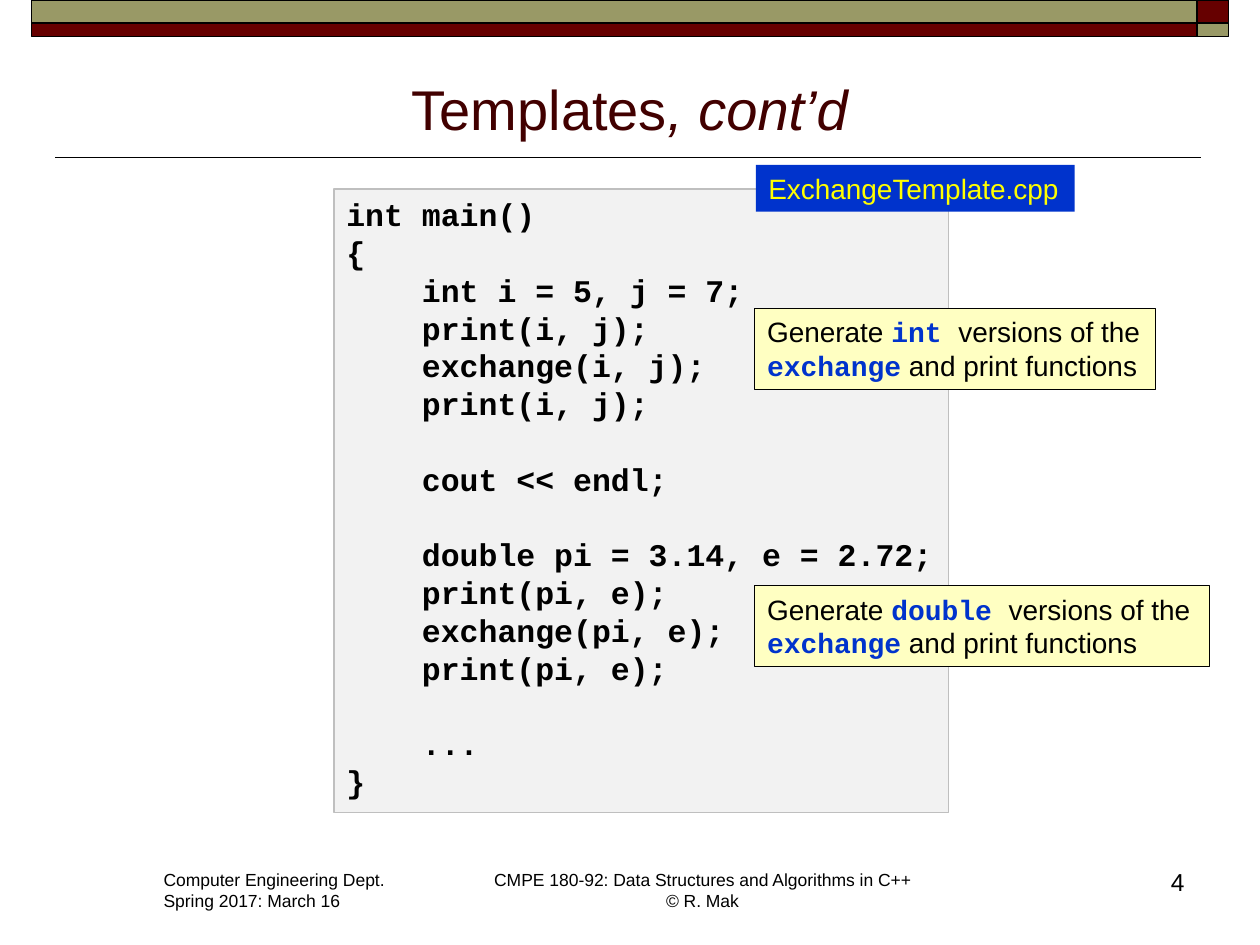
from dataclasses import dataclass
from typing import Optional

from lxml import etree
from pptx import Presentation
from pptx import util as u
from pptx.dml import color
from pptx.enum import shapes, text
from pptx.oxml import ns

WIDTH, HEIGHT = 10, 7.5
MAROON, OLIVE, BLUE, BLACK = "660000", "999966", "0033CC", "000000"
CREAM, YELLOW, GREY, SILVER = "FFFFC2", "FFFF00", "F2F2F2", "BFBFBF"
CODE_SIZE = 18
CODE_LINE = 1.2 * CODE_SIZE
CODE_INDENT = 4 * 0.6 * CODE_SIZE
LEFT, CENTER, RIGHT = text.PP_ALIGN.LEFT, text.PP_ALIGN.CENTER, text.PP_ALIGN.RIGHT
TOP, BOTTOM = text.MSO_ANCHOR.TOP, text.MSO_ANCHOR.BOTTOM


@dataclass
class Span:
    """Text in one style; a line feed is a break within the paragraph."""
    words: str
    size: float = 16
    hue: str = BLACK
    name: str = "Arial"
    bold: bool = False
    italic: bool = False


@dataclass
class Line:
    """One paragraph with its indent and the gap above it, in points."""
    spans: list[Span]
    indent: float = 0
    gap: float = 0


@dataclass
class Box:
    """A rectangle in inches, with optional fill, outline and text."""
    left: float
    top: float
    width: float
    height: float
    fill: Optional[str] = None
    outline: Optional[str] = None
    weight: float = 0.75
    lines: tuple[Line, ...] = ()
    align: text.PP_ALIGN = LEFT
    anchor: text.MSO_ANCHOR = TOP
    grow: bool = True


def rgb(value: str) -> color.RGBColor:
    """Turn a hex string into a colour."""
    return color.RGBColor.from_string(value)


def write_span(para, span: Span) -> None:
    """Add the text of a span to a paragraph."""
    style = {"size": u.Pt(span.size), "name": span.name,
             "bold": span.bold, "italic": span.italic}
    for number, part in enumerate(span.words.split("\n")):
        if number:
            para.add_line_break()
        run = para.add_run()
        run.text = part
        run.font.color.rgb = rgb(span.hue)
        for key, value in style.items():
            setattr(run.font, key, value)


def write_lines(frame, box: Box) -> None:
    """Fill a text frame with the lines of a box."""
    fit = text.MSO_AUTO_SIZE
    layout = {"word_wrap": not box.grow, "vertical_anchor": box.anchor,
              "auto_size": fit.SHAPE_TO_FIT_TEXT if box.grow else fit.NONE}
    for key, value in layout.items():
        setattr(frame, key, value)
    for number, line in enumerate(box.lines):
        para = frame.add_paragraph() if number else frame.paragraphs[0]
        para.alignment = box.align
        if line.gap:
            para.space_before = u.Pt(line.gap)
        if line.indent:
            para._p.get_or_add_pPr().set("marL", str(u.Pt(line.indent)))
        for span in line.spans:
            write_span(para, span)


def draw_box(page, box: Box) -> None:
    """Draw a filled rectangle, or a plain text box if there is no fill."""
    place = [u.Inches(n) for n in (box.left, box.top, box.width, box.height)]
    if box.fill:
        shape = page.shapes.add_shape(shapes.MSO_SHAPE.RECTANGLE, *place)
        shape.shadow.inherit = False
        shape.fill.solid()
        shape.fill.fore_color.rgb = rgb(box.fill)
        if box.outline:
            shape.line.color.rgb = rgb(box.outline)
            shape.line.width = u.Pt(box.weight)
        else:
            shape.line.fill.background()
    else:
        shape = page.shapes.add_textbox(*place)
    if box.lines:
        write_lines(shape.text_frame, box)


def draw_rule(page, left: float, right: float, top: float) -> None:
    """Draw a thin horizontal line."""
    rule = page.shapes.add_connector(
        shapes.MSO_CONNECTOR.STRAIGHT,
        *(u.Inches(n) for n in (left, top, right, top)))
    rule.line.color.rgb = rgb(BLACK)
    rule.line.width = u.Pt(1)
    etree.SubElement(rule._element.spPr, ns.qn("a:effectLst"))


def banner() -> list[Box]:
    """Give the two by two bands along the top edge."""
    columns, rows = ((0.25, 9.25), (9.5, 0.25)), ((0, 0.18), (0.18, 0.11))
    return [Box(left, top, width, height, (OLIVE, MAROON)[(col + row) % 2], BLACK, 1)
            for row, (top, height) in enumerate(rows)
            for col, (left, width) in enumerate(columns)]


def code_lines(blocks: list[tuple[int, list[str]]]) -> tuple[Line, ...]:
    """Set code blocks as lines; indented blocks after the first get a gap."""
    lines = []
    for number, (level, rows) in enumerate(blocks):
        apart = level and number > 1
        lines += [Line([Span(row, CODE_SIZE, name="Courier New", bold=True)],
                       level * CODE_INDENT, CODE_LINE if apart and not first else 0)
                  for first, row in enumerate(rows)]
    return tuple(lines)


def note(top: float, width: float, kind: str) -> Box:
    """Give a cream note on the functions generated for one type."""
    def keyword(word: str) -> Span:
        """Style a word of code."""
        return Span(word, hue=BLUE, name="Courier New", bold=True)
    return Box(5.99, top, width, 0.64, CREAM, BLACK, lines=(
        Line([Span("Generate "), keyword(kind + " "), Span("versions of the")]),
        Line([keyword("exchange"), Span(" and print functions")])))


CODE = [
    (0, ["int main()", "{"]),
    (1, ["int i = 5, j = 7;", "print(i, j);", "exchange(i, j);", "print(i, j);"]),
    (1, ["cout << endl;"]),
    (1, ["double pi = 3.14, e = 2.72;", "print(pi, e);", "exchange(pi, e);",
         "print(pi, e);"]),
    (1, ["..."]),
    (0, ["}"]),
]
BOXES = [
    *banner(),
    Box(1.2, 6.85, 1.98, 0.44, lines=(
        Line([Span("Computer Engineering Dept.", 10)]),
        Line([Span("Spring 2017: March 16", 10)]))),
    Box(3.8, 6.85, 3.55, 0.44, align=CENTER, lines=(
        Line([Span("CMPE 180-92: Data Structures and Algorithms in C++\n© R. Mak", 10)]),)),
    Box(0.5, 0.45, 9, 0.72, align=CENTER, anchor=BOTTOM, grow=False, lines=(
        Line([Span("Templates", 32, "420000"),
              Span(", cont’d", 32, "420000", italic=True)]),)),
    Box(7.42, 6.83, 2.08, 0.5, align=RIGHT, grow=False, lines=(Line([Span("4", 14)]),)),
    Box(2.65, 1.5, 4.88, 4.95, GREY, SILVER, lines=code_lines(CODE)),
    note(2.45, 3.18, "int"),
    note(4.65, 3.61, "double"),
    Box(6, 1.31, 2.53, 0.37, BLUE, lines=(
        Line([Span("ExchangeTemplate.cpp", hue=YELLOW)]),)),
]

deck = Presentation()
deck.slide_width, deck.slide_height = u.Inches(WIDTH), u.Inches(HEIGHT)
page = deck.slides.add_slide(deck.slide_layouts[6])
draw_rule(page, 0.44, 9.53, 1.25)
for item in BOXES:
    draw_box(page, item)
deck.save("out.pptx")
